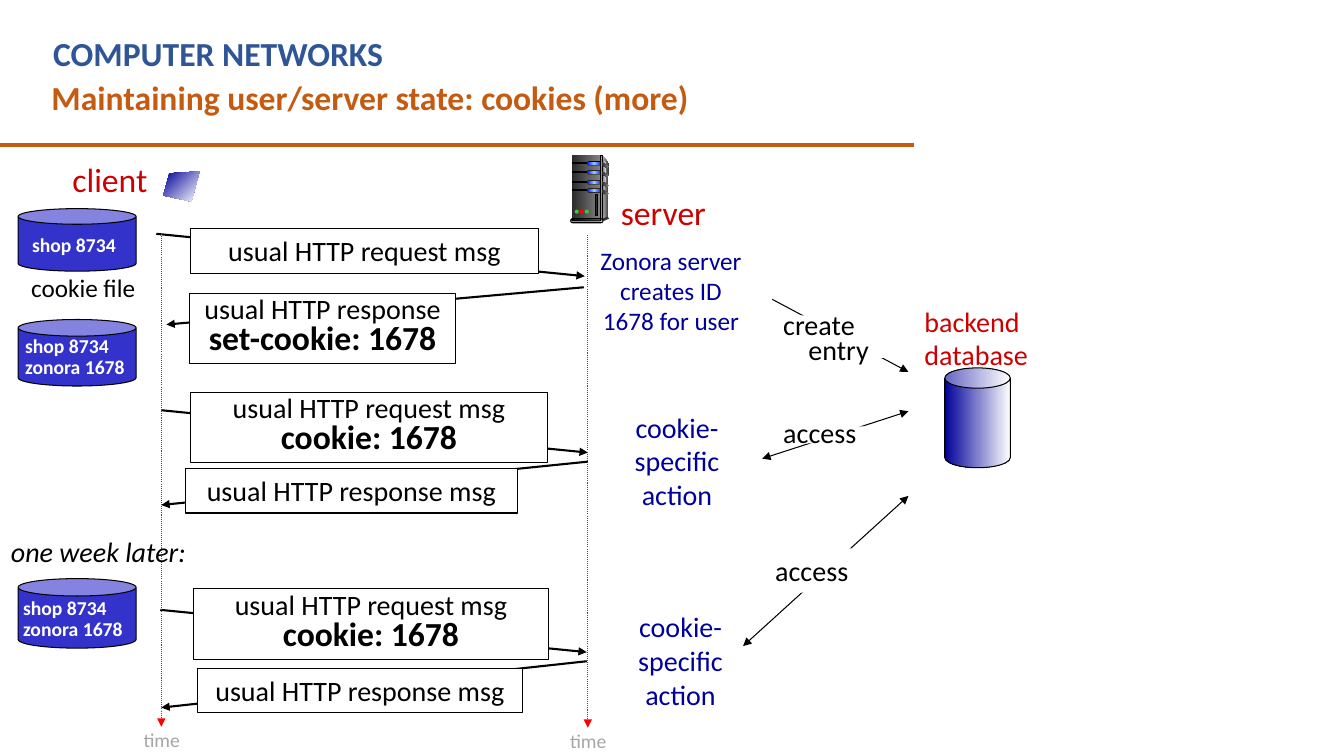
from lxml.etree import SubElement
from pptx import Presentation
from pptx.dml.color import RGBColor
from pptx.enum.dml import MSO_LINE
from pptx.enum.shapes import MSO_CONNECTOR, MSO_SHAPE as Kind
from pptx.enum.text import MSO_ANCHOR, MSO_AUTO_SIZE, PP_ALIGN as Align
from pptx.oxml.ns import qn
from pptx.util import Pt

PX = 9144  # 100 px to the inch


class Theme:
    font = "Calibri"
    ink, white, red, time, rule = "000000", "FFFFFF", "CC0000", "FF0000", "C55A11"
    can, dark, pale, green = "3333CC", "333333", "DDDDDD", "33CC33"
    fade = ("000099", "FFFFFF")
    front, glow = ("292929", "808080"), ("0000FF", "99CCFF", "0000FF")
    thin, arrow, bar = 0.75, 1.5, 3
    # role: size, colour, bold, italic, line spacing
    roles = {
        "course": (24, "2F5597", True, False, None),
        "title": (24, "C55A11", True, False, None),
        "host": (24, red, False, False, None),
        "store": (20, red, False, False, None),
        "message": (20, ink, False, False, None),
        "tight": (20, ink, False, False, 0.8),
        "cookie": (24, ink, True, False, 0.8),
        "entry": (20, ink, False, False, 0.75),
        "file": (18, ink, False, False, None),
        "later": (20, ink, False, True, None),
        "note": (18, "000099", False, False, None),
        "action": (20, "000099", False, False, None),
        "first": (14, white, True, False, None),
        "stored": (14, white, True, False, 0.9),
        "time": (14, "A6A6A6", False, False, 0.85),
    }


# Content: boxes are left, top, width, height
TITLE = ((41, 71, 875, 50), [("Maintaining user/server state: cookies (more)", "title")])
REQUEST = [("usual HTTP request msg", "message")]
REPLY = [("usual HTTP response msg", "message")]
COOKIE_REQUEST = [("usual HTTP request msg", "tight"), ("cookie: 1678", "cookie")]
SET_COOKIE = [("usual HTTP response", "tight"), ("set-cookie: 1678", "cookie")]
ACTION = [(word, "action") for word in ("cookie-", "specific", "action")]
ACCESS = [("access", "message")]
STORED = [("shop 8734", "stored"), ("zonora 1678", "stored")]

# arrow start, arrow end, box, lines
MESSAGES = [
    ((155, 232), (580, 274), (189, 227, 345, 44), REQUEST),
    ((579, 285), (165, 322), (188, 291, 264, 70), SET_COOKIE),
    ((160, 407), (583, 449), (189, 389, 354, 70), COOKIE_REQUEST),
    ((583, 458), (160, 501), (184, 465, 329, 44), REPLY),
    ((159, 605), (582, 647), (192, 584, 352, 70), COOKIE_REQUEST),
    ((582, 656), (160, 702), (196, 663, 322, 44), REPLY),
]
# arrow start, arrow end, two-headed, white gap in the arrow
DATABASE_CALLS = [
    ((766, 297), (901, 369), False, (785, 313, 123, 42)),
    ((756, 455), (901, 408), True, (789, 423, 81, 17)),
    ((737, 641), (901, 492), True, (759, 544, 112, 44)),
]
COOKIE_FILES = [
    ((18, 207, 117, 62), (22, 226, 110, 34), [("shop 8734", "first")]),
    ((18, 317, 117, 66), (15, 329, 159, 53), STORED),
    ((18, 574, 117, 69), (13, 589, 152, 52), STORED),
]
LEFT_LABELS = [
    ((43, 28, 820, 50), [("COMPUTER NETWORKS", "course")]),
    ((21, 265, 195, 40), [("cookie file", "file")]),
    ((1, 525, 198, 44), [("one week later:", "later")]),
    ((767, 308, 150, 62), [("create", "entry"), ("entry", "entry", 25)]),
    ((767, 407, 113, 44), ACCESS),
    ((759, 544, 112, 44), ACCESS),
    ((907, 297, 125, 77), [("backend", "store"), ("database", "store")]),
]
CENTRED_LABELS = [
    ((61, 153, 96, 50), [("client", "host")]),
    ((605, 185, 106, 50), [("server", "host")]),
    ((579, 238, 173, 101), [(line, "note") for line in
                            ("Zonora server", "creates ID", "1678 for user")]),
    ((608, 402, 127, 111), ACTION),
    ((612, 600, 126, 111), ACTION),
]
TIMELINES = [(160, 232), (583, 233)]  # x, top
TIMELINE_LENGTH = 489
DATABASE = (937, 365, 65, 99)
LAPTOP = [(198, 170), (168, 172), (162, 194), (190, 200)]
SERVER_BAYS = (161, 170, 180, 188)

deck = Presentation()
deck.slide_width, deck.slide_height = 1333 * PX, 750 * PX
page = deck.slides.add_slide(deck.slide_layouts[5])


# Drawing helpers
def emu(values):
    return [value * PX for value in values]


def rgb(code):
    return RGBColor.from_string(code)


def paint(shape, fill, line=None, turn=0):
    """A string is a solid fill, a tuple an evenly spaced gradient."""
    shape.shadow.inherit = False
    if isinstance(fill, tuple):
        shape.fill.gradient()
        shape.fill.gradient_angle = turn
        stops = shape.element.spPr.find(".//" + qn("a:gsLst"))
        stops.clear()
        for index, code in enumerate(fill):
            stop = SubElement(stops, qn("a:gs"), pos=str(index * 100000 // (len(fill) - 1)))
            SubElement(stop, qn("a:srgbClr"), val=code)
    else:
        shape.fill.solid()
        shape.fill.fore_color.rgb = rgb(fill)
    if line:
        shape.line.color.rgb = rgb(line)
        shape.line.width = Pt(Theme.thin)
    else:
        shape.line.fill.background()


def add_block(kind, box, fill, line=None, adjust=None):
    shape = page.shapes.add_shape(kind, *emu(box))
    if adjust is not None:
        shape.adjustments[0] = adjust
    paint(shape, fill, line)
    return shape


def add_outline(points, fill, turn=0):
    builder = page.shapes.build_freeform(*points[0], scale=PX)
    builder.add_line_segments(points[1:], close=True)
    paint(builder.convert_to_shape(), fill, turn=turn)


def write(shape, lines, align):
    frame = shape.text_frame
    frame.auto_size = MSO_AUTO_SIZE.NONE
    frame.word_wrap = align == Align.LEFT
    frame.vertical_anchor = MSO_ANCHOR.TOP
    for index, (text, role, *indent) in enumerate(lines):
        para = frame.add_paragraph() if index else frame.paragraphs[0]
        size, colour, bold, italic, spacing = Theme.roles[role]
        para.alignment = align
        if spacing:
            para.line_spacing = spacing
        if indent:
            para._p.get_or_add_pPr().set("marL", str(indent[0] * PX))
        span = para.add_run()
        span.text = text
        font = span.font
        font.name, font.size, font.bold, font.italic = Theme.font, Pt(size), bold, italic
        font.color.rgb = rgb(colour)


def add_line(start, end, colour, width, heads=(), dash=None):
    line = page.shapes.add_connector(MSO_CONNECTOR.STRAIGHT, *emu(start + end))
    line.line.color.rgb = rgb(colour)
    line.line.width = Pt(width)
    if dash:
        line.line.dash_style = dash
    for head in heads:
        SubElement(line.line._get_or_add_ln(), qn("a:" + head), type="triangle")
    SubElement(line.element.spPr, qn("a:effectLst"))


# Title and rule
title = page.shapes.title
title.left, title.top, title.width, title.height = emu(TITLE[0])
write(title, TITLE[1], Align.LEFT)
add_line((-1, 144), (907, 144), Theme.rule, Theme.bar)

# Messages between client and server
for start, end, box, lines in MESSAGES:
    add_line(start, end, Theme.ink, Theme.arrow, ["tailEnd"])
    write(add_block(Kind.RECTANGLE, box, Theme.white, Theme.ink), lines, Align.CENTER)

# Calls to the database
for start, end, both, gap in DATABASE_CALLS:
    add_line(start, end, Theme.ink, Theme.thin, ["headEnd", "tailEnd"] if both else ["tailEnd"])
    add_block(Kind.RECTANGLE, gap, Theme.white)
add_block(Kind.CAN, DATABASE, Theme.fade, Theme.ink, 0.31)

# Cookie files and labels
for can, _, _ in COOKIE_FILES:
    add_block(Kind.CAN, can, Theme.can, Theme.ink, 0.25)
stored_labels = [(box, lines) for _, box, lines in COOKIE_FILES]
for labels, align in ((LEFT_LABELS + stored_labels, Align.LEFT), (CENTRED_LABELS, Align.CENTER)):
    for box, lines in labels:
        write(page.shapes.add_textbox(*emu(box)), lines, align)

# Server tower
add_outline([(597, 154), (604, 162), (603, 215), (596, 218)], (Theme.pale, Theme.dark))
add_block(Kind.RECTANGLE, (567, 154, 28, 64), Theme.front)
add_outline([(598, 158), (602, 163), (599, 190), (598, 216)], ("808080", "F8F8F8"))
for y in SERVER_BAYS:
    add_block(Kind.RECTANGLE, (568, y, 16, 1), Theme.ink, Theme.ink)
    add_block(Kind.ROUNDED_RECTANGLE, (582, y - 1, 16, 4), Theme.ink, adjust=0.5)
    add_block(Kind.ROUNDED_RECTANGLE, (582, y, 15, 3), Theme.glow, adjust=0.5)
add_block(Kind.RECTANGLE, (596, 154, 2, 64), (Theme.dark, Theme.pale, Theme.dark), Theme.ink)
for y in SERVER_BAYS:
    add_outline([(597, y), (604, y + 4), (603, y + 6), (597, y + 3)], Theme.front)
add_outline([(597, 217), (597, 220), (604, 217), (603, 215)], Theme.dark)
add_block(Kind.ROUNDED_RECTANGLE, (566, 217, 32, 4), Theme.pale, Theme.ink, 0.5)
add_block(Kind.ROUNDED_RECTANGLE, (567, 217, 29, 2), ("000000", "808080"), Theme.ink, 0.5)
for index, lamp in enumerate((Theme.green, Theme.time, Theme.green)):
    add_block(Kind.OVAL, (570 + 5 * index, 208, 4, 4), lamp)
add_block(Kind.RECTANGLE, (591, 193, 2, 21), "292929", Theme.ink)

# Client screen
add_outline(LAPTOP, Theme.fade, turn=315)

# Time axes
for x, top in TIMELINES:
    bottom = top + TIMELINE_LENGTH
    add_line((x, top), (x, bottom), Theme.time, Theme.thin, ["tailEnd"], MSO_LINE.ROUND_DOT)
    write(page.shapes.add_textbox(*emu((x - 28, bottom, 57, 30))), [("time", "time")], Align.CENTER)

deck.save("out.pptx")
